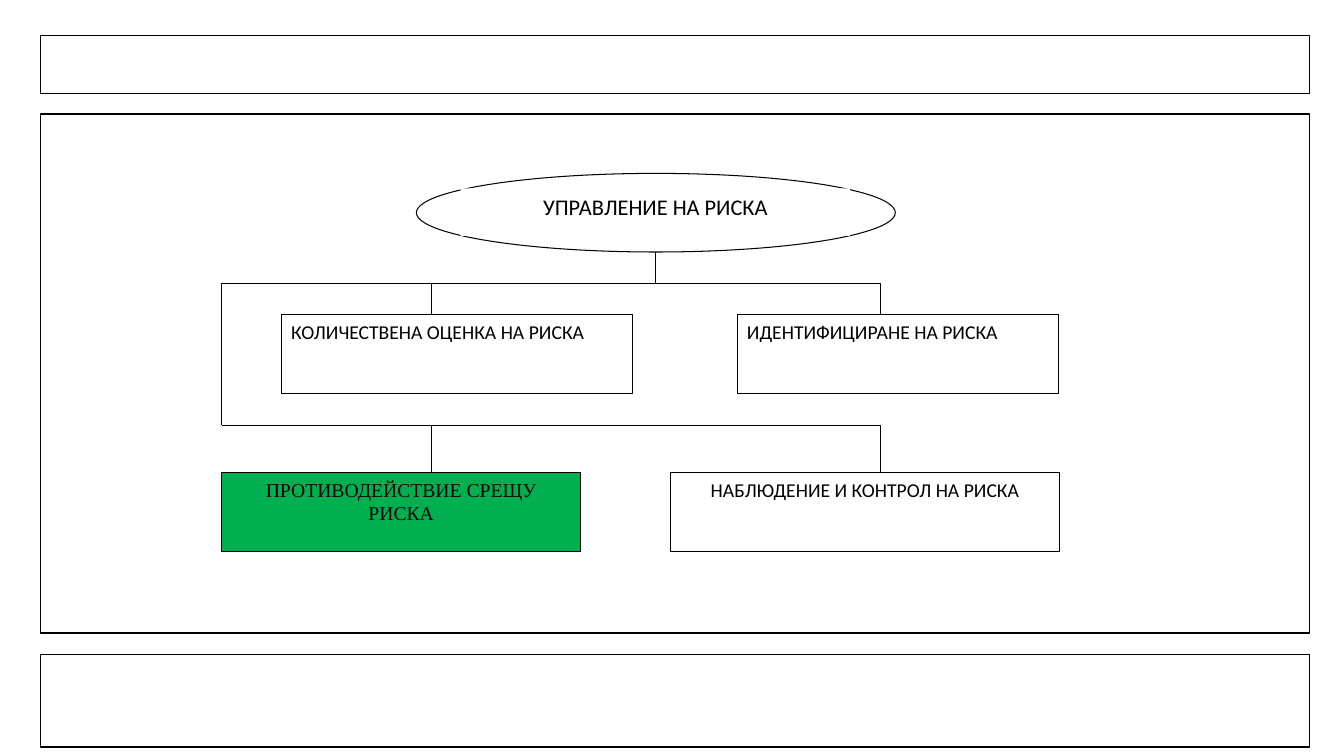
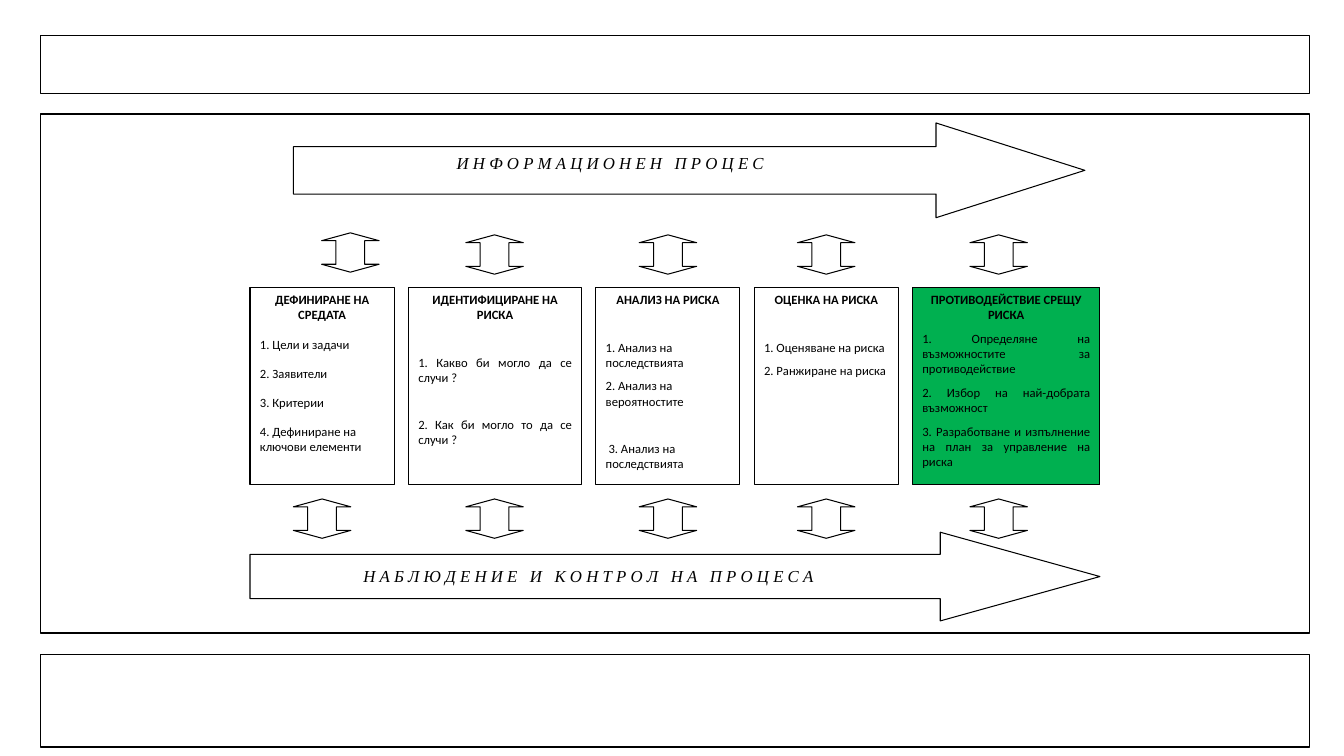
from pptx import Presentation
from pptx import util as u
from pptx.dml.color import RGBColor
from pptx.enum import shapes, text
from pptx.oxml.ns import qn
from lxml import etree

Inches = u.Inches
SHAPE = shapes.MSO_SHAPE
ALIGN = text.PP_ALIGN
COLORS = {"ink": "000000", "paper": "FFFFFF", "highlight": "00B050"}
SANS, SERIF = "Calibri", "Times New Roman"
MARGIN, FRAME_WIDTH = 0.4, 12.59
FRAME_BANDS = [(0.35, 0.58), (6.49, 0.92), (1.13, 5.15)]  # top, height


def color(name):
    return RGBColor.from_string(COLORS[name])


def set_adjustments(shape, values):
    """Write adj1, adj2, ... directly: python-pptx misnames those of upDownArrow."""
    guides = shape._element.spPr.find(qn("a:prstGeom")).find(qn("a:avLst"))
    for guide in list(guides):
        guides.remove(guide)
    for number, value in enumerate(values, start=1):
        etree.SubElement(guides, qn("a:gd"), name=f"adj{number}",
                         fmla=f"val {round(value * 100000)}")


def add_box(slide, kind, left, top, width, height, fill="paper", line=0.75, adjust=()):
    shape = slide.shapes.add_shape(
        kind, Inches(left), Inches(top), Inches(width), Inches(height))
    shape.shadow.inherit = False
    if fill:
        shape.fill.solid()
        shape.fill.fore_color.rgb = color(fill)
    else:
        shape.fill.background()
    if line:
        shape.line.color.rgb = color("ink")
        shape.line.width = u.Pt(line)
    else:
        shape.line.fill.background()
    if adjust:
        set_adjustments(shape, adjust)
    return shape


def add_line(slide, left, top, right, bottom):
    line = slide.shapes.add_connector(
        shapes.MSO_CONNECTOR.STRAIGHT,
        Inches(left), Inches(top), Inches(right), Inches(bottom))
    line.line.color.rgb = color("ink")
    line.line.width = u.Pt(0.75)
    etree.SubElement(line._element.spPr, qn("a:effectLst"))


def write(shape, words, size=14, font=SANS, align=ALIGN.LEFT, after=6,
          bold=False, italic=False):
    """Fill the first paragraph of a shape, or append one if it has text."""
    frame = shape.text_frame
    frame.word_wrap = True
    frame.vertical_anchor = text.MSO_ANCHOR.TOP
    paragraph = frame.add_paragraph() if frame.text else frame.paragraphs[0]
    paragraph.alignment = align
    paragraph.space_after = u.Pt(after)
    run = paragraph.add_run()
    run.text = words
    run.font.size = u.Pt(size)
    run.font.name = font
    run.font.bold = bold
    run.font.italic = italic
    run.font.color.rgb = color("ink")


def add_framed_slide(presentation):
    slide = presentation.slides.add_slide(presentation.slide_layouts[6])
    for top, height in FRAME_BANDS:
        add_box(slide, SHAPE.RECTANGLE, MARGIN, top, FRAME_WIDTH, height,
                fill=None, line=1)
    return slide


def add_risk_tree(slide, left, top):
    add_box(slide, SHAPE.OVAL, left + 1.93, top, 4.75, 0.78)
    root_label = add_box(slide, SHAPE.RECTANGLE, left + 2.37, top + 0.15,
                         3.86, 0.47, line=None)
    write(root_label, "УПРАВЛЕНИЕ НА РИСКА", size=16, align=ALIGN.CENTER)

    upper_row, lower_row = 1.4, 2.97
    branches = [
        (5.11, upper_row, 3.19, "ИДЕНТИФИЦИРАНЕ НА РИСКА", ALIGN.LEFT, SANS, "paper"),
        (4.45, lower_row, 3.86, "НАБЛЮДЕНИЕ И КОНТРОЛ НА РИСКА", ALIGN.CENTER, SANS, "paper"),
        (0, lower_row, 3.56, "ПРОТИВОДЕЙСТВИЕ СРЕЩУ РИСКА", ALIGN.CENTER, SERIF, "highlight"),
        (0.59, upper_row, 3.48, "КОЛИЧЕСТВЕНА ОЦЕНКА НА РИСКА", ALIGN.LEFT, SANS, "paper"),
    ]
    for x, y, width, words, align, font, fill in branches:
        branch = add_box(slide, SHAPE.RECTANGLE, left + x, top + y, width, 0.78, fill)
        write(branch, words, font=font, align=align)

    upper_bus, lower_bus, bus_end = 1.09, 2.5, 6.53
    lines = [(4.3, 0.78, 4.3, upper_bus), (0, upper_bus, 0, lower_bus)]
    for bus, row in ((upper_bus, upper_row), (lower_bus, lower_row)):
        lines.append((0, bus, bus_end, bus))
        lines += [(x, bus, x, row) for x in (2.08, bus_end)]
    for x1, y1, x2, y2 in lines:
        add_line(slide, left + x1, top + y1, left + x2, top + y2)


def add_process_arrow(slide, left, top, width, height, head, label_box, words):
    """Draw a wide arrow with a letter-spaced label placed relative to it."""
    add_box(slide, SHAPE.RIGHT_ARROW, left, top, width, height, adjust=(0.5, head))
    x, y, label_width, label_height = label_box
    label = add_box(slide, SHAPE.RECTANGLE, left + x, top + y,
                    label_width, label_height, line=None)
    write(label, " ".join(words), size=12, font=SERIF, align=ALIGN.CENTER, italic=True)


def add_stage(slide, left, top, width, title, items, align, fill="paper"):
    """Items are (words, space after); the title is such a pair as well."""
    stage = add_box(slide, SHAPE.RECTANGLE, left, top, width, 1.96, fill)
    write(stage, title[0], size=9, align=ALIGN.CENTER, after=title[1], bold=True)
    for words, after in items:
        write(stage, words, size=9, align=align, after=after)


def add_risk_process(slide, left, top):
    upper_arrows = [(0.71, 1.09)] + [(x, 1.11) for x in (2.14, 3.86, 5.43, 7.14)]
    lower_arrows = [(x, 3.73) for x in (0.43, 2.14, 3.86, 5.43, 7.14)]
    for x, y in upper_arrows + lower_arrows:
        add_box(slide, SHAPE.UP_DOWN_ARROW, left + x, top + y, 0.57, 0.39,
                adjust=(0.5, 0.2))

    near, medium, far = 6, 10, 23
    stages = [
        (1.43, ("ДЕФИНИРАНЕ НА СРЕДАТА", medium),
         [("1. Цели и задачи", medium), ("2. Заявители", medium),
          ("3. Критерии", medium), ("4. Дефиниране на ключови елементи", medium)],
         ALIGN.LEFT, "paper"),
        (1.72, ("ИДЕНТИФИЦИРАНЕ НА РИСКА", far),
         [("1. Какво би могло да се случи ?", far),
          ("2. Как би могло то да се случи ?", near)],
         ALIGN.JUSTIFY, "paper"),
        (1.43, ("АНАЛИЗ НА РИСКА", far),
         [("1. Анализ на последствията", near), ("2. Анализ на вероятностите", far),
          (" 3. Анализ на последствията", near)],
         ALIGN.LEFT, "paper"),
        (1.43, ("ОЦЕНКА НА РИСКА", far),
         [("1. Оценяване на риска", near), ("2. Ранжиране на риска", near)],
         ALIGN.JUSTIFY, "paper"),
        (1.86, ("ПРОТИВОДЕЙСТВИЕ СРЕЩУ РИСКА", near),
         [("1. Определяне на възможностите за противодействие", near),
          ("2. Избор на най-добрата възможност", near),
          ("3. Разработване и изпълнение на план за управление на риска", near)],
         ALIGN.JUSTIFY, "highlight"),
    ]
    stage_left, gap = left, 0.14
    for width, title, items, align, fill in stages:
        add_stage(slide, stage_left, top + 1.63, width, title, items, align, fill)
        stage_left += width + gap

    add_process_arrow(slide, left + 0.43, top, 7.85, 0.94, 1.57,
                      (0.43, 0.25, 5.43, 0.42), "ИНФОРМАЦИОНЕН ПРОЦЕС")
    add_process_arrow(slide, left, top + 4.06, 8.43, 0.88, 1.8,
                      (0.43, 0.28, 5.86, 0.34), "НАБЛЮДЕНИЕ И КОНТРОЛ НА ПРОЦЕСА")


def main():
    presentation = Presentation()
    presentation.slide_width = Inches(13.33)
    presentation.slide_height = Inches(7.5)
    add_risk_tree(add_framed_slide(presentation), 2.2, 1.72)
    add_risk_process(add_framed_slide(presentation), 2.48, 1.22)
    presentation.save("out.pptx")


if __name__ == "__main__":
    main()
